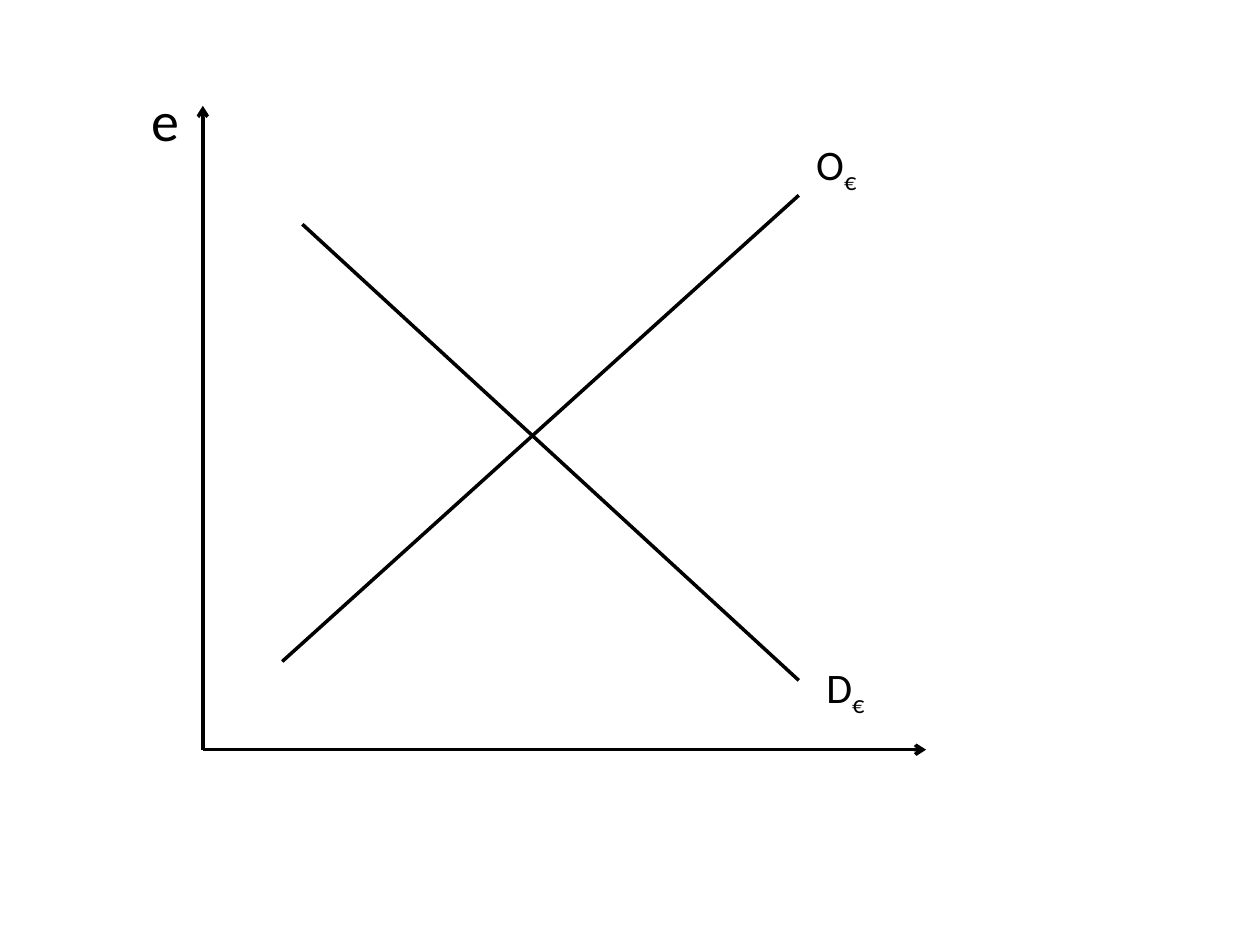
from dataclasses import dataclass

from lxml import etree
from pptx import Presentation
from pptx.dml.color import RGBColor
from pptx.enum.shapes import MSO_CONNECTOR
from pptx.enum.text import MSO_AUTO_SIZE
from pptx.oxml.ns import qn
from pptx.util import Inches, Pt

STRAIGHT = MSO_CONNECTOR.STRAIGHT
FIT_SHAPE = MSO_AUTO_SIZE.SHAPE_TO_FIT_TEXT
BLANK_LAYOUT = 6


@dataclass(frozen=True)
class Theme:
    ink: RGBColor = RGBColor(0, 0, 0)
    font: str = "Calibri"
    axis_size: int = 32
    curve_size: int = 24
    line_width: int = 2
    subscript: str = "-25000"


THEME = Theme()


def add_line(page, start, end, arrow=False):
    """Draw a straight line, with an arrowhead at its end if asked."""
    points = [Inches(value) for value in (*start, *end)]
    line = page.shapes.add_connector(STRAIGHT, *points)
    line.line.color.rgb = THEME.ink
    line.line.width = Pt(THEME.line_width)
    if arrow:
        outline = line.line._get_or_add_ln()
        etree.SubElement(outline, qn("a:tailEnd"), type="arrow")
    properties = line._element.spPr
    etree.SubElement(properties, qn("a:effectLst"))


def add_span(para, text, size):
    span = para.add_run()
    span.text = text
    for name, value in {"name": THEME.font, "size": Pt(size)}.items():
        setattr(span.font, name, value)
    span.font.color.rgb = THEME.ink
    return span


def add_label(page, place, text, size, subscript=""):
    """Write a label, optionally followed by a subscript."""
    box = page.shapes.add_textbox(*[Inches(value) for value in place])
    for name, value in {"word_wrap": False, "auto_size": FIT_SHAPE}.items():
        setattr(box.text_frame, name, value)
    para = box.text_frame.paragraphs[0]
    add_span(para, text, size)
    if subscript:
        span = add_span(para, subscript, size)
        span._r.get_or_add_rPr().set("baseline", THEME.subscript)


def main():
    deck = Presentation()
    deck.slide_width, deck.slide_height = Inches(10), Inches(7.5)
    page = deck.slides.add_slide(deck.slide_layouts[BLANK_LAYOUT])

    # Axes: exchange rate upwards, quantity to the right
    origin = (1.61, 5.95)
    for tip in ((origin[0], 0.84), (7.35, origin[1])):
        add_line(page, origin, tip, arrow=True)
    add_label(page, (1.1, 0.63, 0.42, 0.64), "e", THEME.axis_size)

    # Supply and demand curves with their labels
    curves = (
        ("O", (2.24, 5.25), (6.34, 1.55), (6.38, 1.05, 0.54, 0.5)),
        ("D", (6.34, 5.4), (2.4, 1.78), (6.46, 5.2, 0.52, 0.5)),
    )
    for letter, start, end, place in curves:
        add_line(page, start, end)
        add_label(page, place, letter, THEME.curve_size, subscript="€")

    deck.save("out.pptx")


if __name__ == "__main__":
    main()
